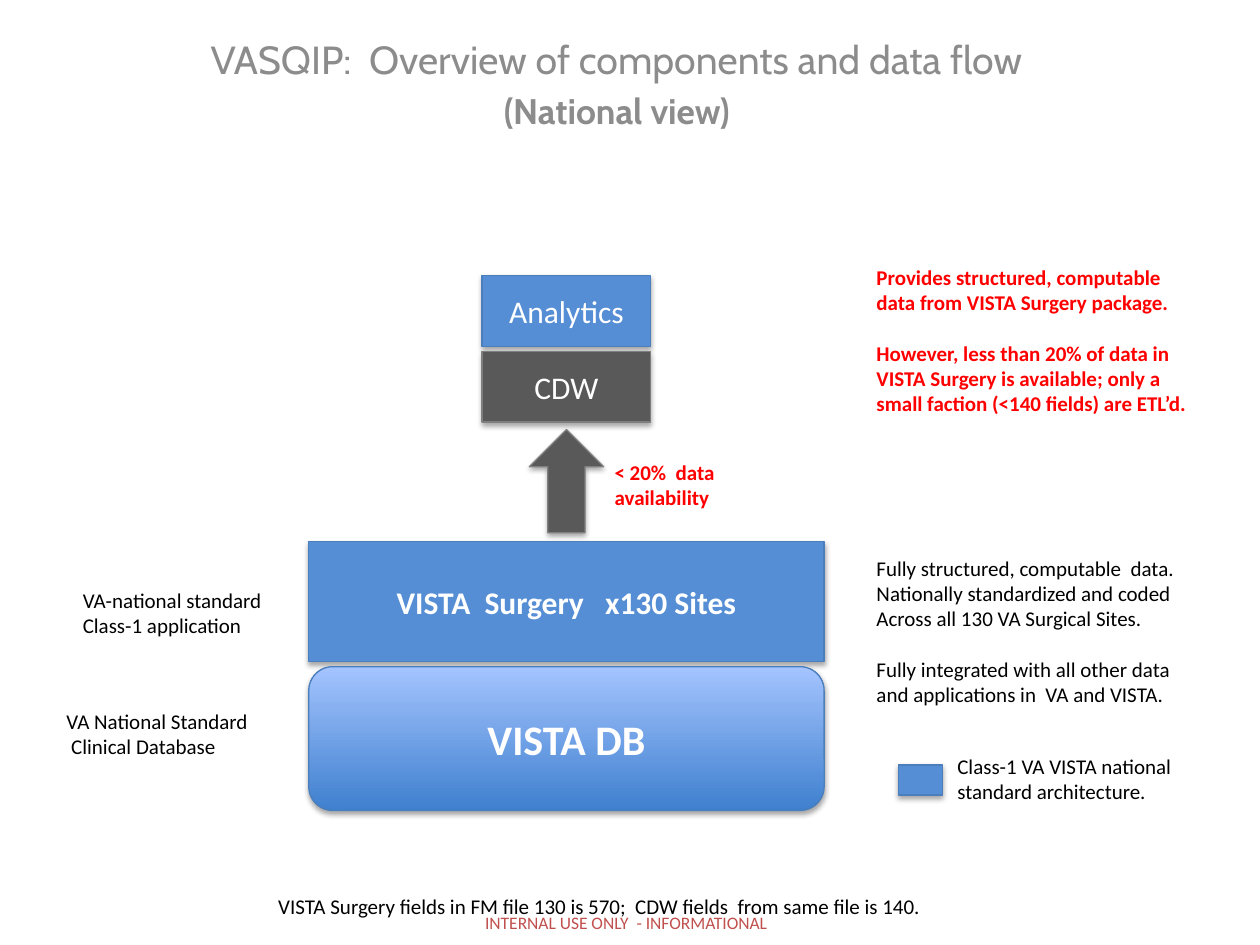
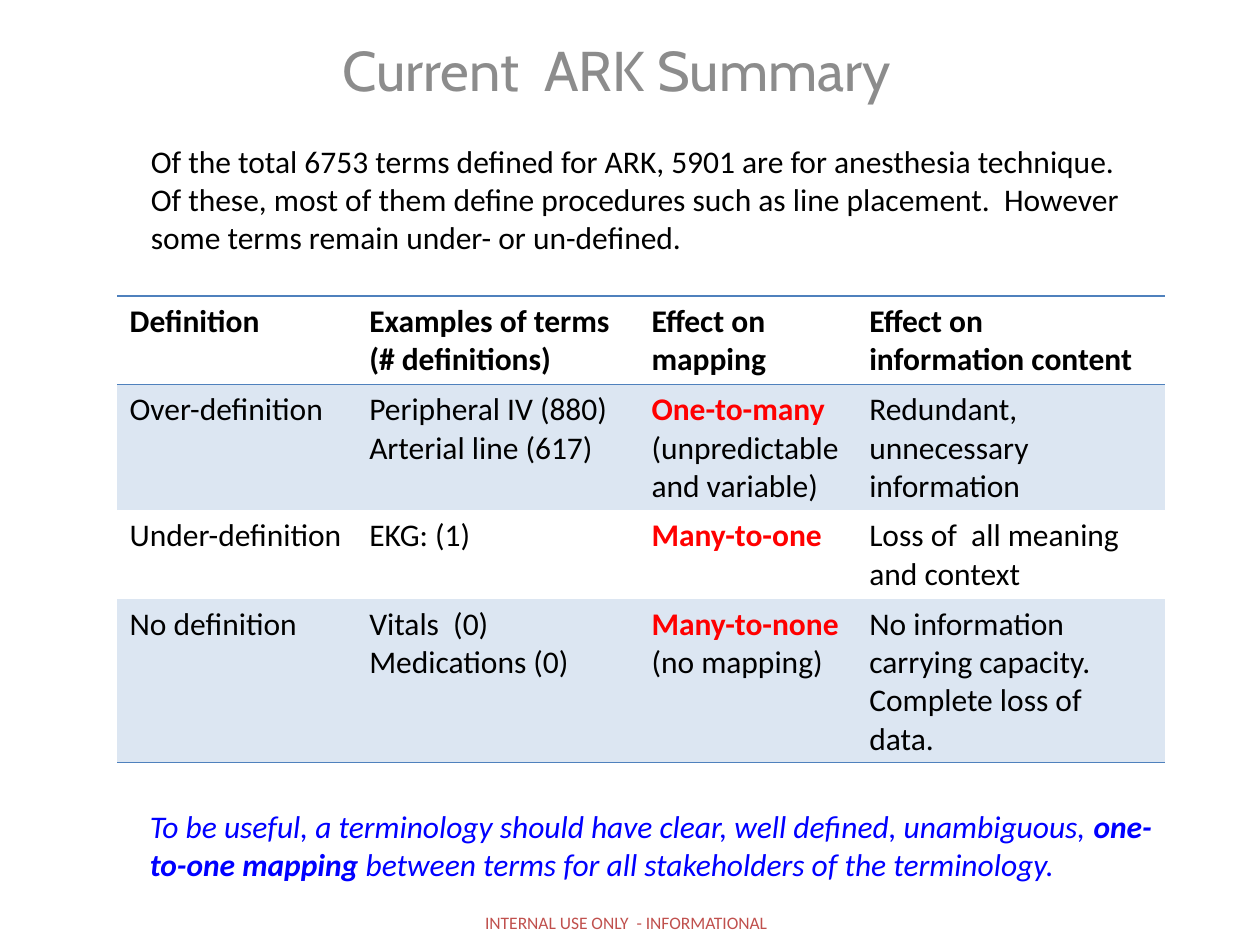
"""Build two slides on surgical data flow and anesthesia terminology."""
from dataclasses import dataclass, replace

import lxml.etree
import pptx
import pptx.dml.color
import pptx.enum.shapes
import pptx.enum.text
import pptx.oxml.ns
import pptx.util

Cm, Pt = pptx.util.Cm, pptx.util.Pt
RGB = pptx.dml.color.RGBColor.from_string
qn = pptx.oxml.ns.qn
SHAPE = pptx.enum.shapes.MSO_SHAPE
ALIGN, ANCHOR = pptx.enum.text.PP_ALIGN, pptx.enum.text.MSO_ANCHOR


@dataclass(frozen=True)
class Style:
    """Hold the look of a run of text."""
    size: float
    color: str = "000000"
    bold: bool = False
    italic: bool = False
    font: str = "Calibri"


class Theme:
    """Keep the colours and type styles of the deck."""
    blue, blue_edge = "558ED5", "4B7EBC"
    gray, gray_edge = "595959", "7F7F7F"
    grad_low, grad_high = "3F80CE", "A4C4FF"
    rule, band = "4F81BD", "DCE6F2"
    title = Style(32, "8C8C8C", font="Cabin")
    title_small = replace(title, size=22.4)
    subtitle = replace(title, size=20.3, bold=True)
    footer = Style(10, "C0504D")
    note = Style(12)
    alert = Style(12, "FF0000", bold=True)
    label = Style(18, "FFFFFF")
    label_bold = replace(label, bold=True)
    label_big = Style(24, "FFFFFF", bold=True)
    body = Style(18)
    head = Style(18, bold=True)
    effect = Style(18, "FF0000", bold=True)
    closing = Style(18, "0000FF", italic=True)
    closing_bold = replace(closing, bold=True)


FOOTER = "INTERNAL USE ONLY  - INFORMATIONAL"
FOOTER_BOX = (9.53, 18.26, 7.09, 0.69)
TITLE_BOX = (2.21, 0.58, 20.45, 1.93)

FLOW_TITLE = [[("VASQIP:  Overview of components and data flow", Theme.title_small)],
              [("(National view)", Theme.subtitle)]]
ARK_TITLE = [[("Current  ARK Summary", Theme.title)]]

FLOW_CENTER, FLOW_TOP = 11.42, 5.56
FLOW = [
    ("Analytics", SHAPE.RECTANGLE, "blue", Theme.label, 3.4, 1.42, 0.11),
    ("CDW", SHAPE.RECTANGLE, "gray", Theme.label, 3.4, 1.42, 0.15),
    ("", SHAPE.UP_ARROW, "gray", Theme.label, 1.5, 2.08, 0.18),
    ("VISTA  Surgery   x130 Sites", SHAPE.RECTANGLE, "blue", Theme.label_bold, 10.39, 2.41, 0.11),
    ("VISTA DB", SHAPE.ROUNDED_RECTANGLE, "gradient", Theme.label_big, 10.39, 2.9, 0),
]
LEGEND_SWATCH = (18.11, 15.42, 0.89, 0.61)

NOTES = [
    ((1.42, 11.71, 4.42, 1.27), Theme.note, [["VA-national standard  Class-1 application"]]),
    ((1.09, 14.15, 5.41, 1.27), Theme.note, [["VA National Standard", " Clinical Database"]]),
    ((17.42, 5.21, 7.06, 3.33), Theme.alert, [
        ["Provides structured, computable  data from VISTA Surgery package."],
        ["However, less than 20% of data in VISTA Surgery is available; "
         "only a small faction (<140 fields) are ETL’d."]]),
    ((12.14, 9.14, 3.1, 1.27), Theme.alert, [["< 20%  data", "availability"]]),
    ((17.42, 11.07, 7.06, 3.33), Theme.note, [
        ["Fully structured, computable  data.", "Nationally standardized and coded",
         "Across all 130 VA Surgical Sites."],
        ["Fully integrated with all other data and applications in  VA and VISTA."]]),
    ((19.05, 15.06, 5.41, 1.27), Theme.note,
     [["Class-1 VA VISTA national standard architecture."]]),
    ((5.36, 17.88, 13.8, 0.76), Theme.note,
     [["VISTA Surgery fields in FM file 130 is 570;  CDW fields  from same file is 140."]]),
]

INTRO_BOX = (2.79, 2.74, 20.7, 2.57)
INTRO = ["Of the total 6753 terms defined for ARK, 5901 are for anesthesia technique.",
         "Of these, most of them define procedures such as line placement.  "
         "However some terms remain under- or un-defined."]
CLOSING_BOX = (2.77, 16.15, 20.73, 1.8)
CLOSING = [[
    ("To be useful, a terminology should have clear, well defined, unambiguous, ", Theme.closing),
    ("one-to-one mapping ", Theme.closing_bold),
    ("between terms for all stakeholders of the terminology.", Theme.closing)]]

TABLE_AT = (2.36, 5.97)
TABLE_COLS = (4.83, 5.69, 4.39, 6.22)
TABLE_ROWS = (1.78, 2.54, 1.78, 3.3)
EFFECT_COL = 2
TABLE = [
    [["Definition"], ["Examples of terms (# definitions)"], ["Effect on mapping"],
     ["Effect on", "information content"]],
    [["Over-definition"], ["Peripheral IV (880)", "Arterial line (617)"],
     ["One-to-many", "(unpredictable and variable)"], ["Redundant, unnecessary information"]],
    [["Under-definition"], ["EKG: (1)"], ["Many-to-one"], ["Loss of  all meaning and context"]],
    [["No definition"], ["Vitals  (0)", "Medications (0)"], ["Many-to-none", "(no mapping)"],
     ["No information carrying capacity. Complete loss of data."]],
]


def cm(values):
    """Turn numbers into lengths."""
    return [Cm(v) for v in values]


def write(tf, paragraphs, align=ALIGN.LEFT):
    """Write paragraphs, each a list of (text, style) runs."""
    for i, runs in enumerate(paragraphs):
        p = tf.add_paragraph() if i else tf.paragraphs[0]
        p.alignment = align
        p.space_before = Pt(0)
        for text, style in runs:
            r = p.add_run()
            r.text = text
            r.font.name, r.font.size = style.font, Pt(style.size)
            r.font.bold, r.font.italic = style.bold, style.italic
            r.font.color.rgb = RGB(style.color)


def add_text(s, box, paragraphs):
    """Add a wrapping text box."""
    tf = s.shapes.add_textbox(*cm(box)).text_frame
    tf.word_wrap = True
    write(tf, paragraphs)
    return tf


def add_note(s, box, style, groups):
    """Add a note whose groups of lines stand one line apart."""
    tf = add_text(s, box, [[(line, style)] for group in groups for line in group])
    start = 0
    for group in groups[:-1]:
        start += len(group)
        tf.paragraphs[start].space_before = Pt(style.size * 1.2)


def add_block(s, kind, box, look):
    """Add a shape with one of the deck's fills and its soft shadow."""
    sp = s.shapes.add_shape(kind, *cm(box))
    if look == "gradient":
        sp.fill.gradient()
        sp.fill.gradient_angle = 90
        for stop, color in zip(sp.fill.gradient_stops, (Theme.grad_low, Theme.grad_high)):
            stop.color.rgb = RGB(color)
    else:
        sp.fill.solid()
        sp.fill.fore_color.rgb = RGB(Theme.gray if look == "gray" else Theme.blue)
    sp.line.color.rgb = RGB(Theme.gray_edge if look == "gray" else Theme.blue_edge)
    sp.line.width = Pt(0.75)
    sp.shadow.inherit = False
    effects = sp._element.spPr.find(qn("a:effectLst"))
    shadow = lxml.etree.SubElement(effects, qn("a:outerShdw"), blurRad=str(Pt(3.1)),
                                   dist=str(Pt(1.8)), dir="5400000", rotWithShape="0")
    color = lxml.etree.SubElement(shadow, qn("a:srgbClr"), val="000000")
    lxml.etree.SubElement(color, qn("a:alpha"), val="35000")
    return sp


def add_slide(prs, title):
    """Add a slide with the shared title and footer."""
    s = prs.slides.add_slide(prs.slide_layouts[5])
    sp = s.shapes.title
    sp.left, sp.top, sp.width, sp.height = cm(TITLE_BOX)
    tf = sp.text_frame
    tf.auto_size = pptx.enum.text.MSO_AUTO_SIZE.NONE
    tf.vertical_anchor = ANCHOR.TOP
    write(tf, title, ALIGN.CENTER)
    for p in tf.paragraphs[1:]:
        p.space_before = Pt(4)
    add_text(s, FOOTER_BOX, [[(FOOTER, Theme.footer)]])
    return s


def add_rule(cell, side):
    """Draw a thin rule on one side of a cell, ahead of its fill."""
    tcPr = cell._tc.get_or_add_tcPr()
    ln = lxml.etree.Element(qn("a:" + side), w=str(Pt(1)))
    fill = lxml.etree.SubElement(ln, qn("a:solidFill"))
    lxml.etree.SubElement(fill, qn("a:srgbClr"), val=Theme.rule)
    tcPr.insert(len(tcPr.findall(qn("a:lnT"))), ln)


def add_definitions(s):
    """Add the table of definition problems."""
    size = (sum(TABLE_COLS), sum(TABLE_ROWS))
    frame = s.shapes.add_table(len(TABLE_ROWS), len(TABLE_COLS), *cm(TABLE_AT + size))
    table = frame.table
    table._tbl.tblPr.find(qn("a:tableStyleId")).text = "{2D5ABB26-0587-4C30-8999-92F81FD0307C}"
    for column, width in zip(table.columns, TABLE_COLS):
        column.width = Cm(width)
    for row, height in zip(table.rows, TABLE_ROWS):
        row.height = Cm(height)
    for i, row in enumerate(TABLE):
        for j, lines in enumerate(row):
            cell = table.cell(i, j)
            styles = [Theme.head if i == 0 else Theme.body] * len(lines)
            if i and j == EFFECT_COL:
                styles[0] = Theme.effect
            write(cell.text_frame, [[pair] for pair in zip(lines, styles)])
            if i % 2:
                cell.fill.solid()
                cell.fill.fore_color.rgb = RGB(Theme.band)
            else:
                cell.fill.background()
            if i == 0:
                add_rule(cell, "lnT")
            if i in (0, len(TABLE) - 1):
                add_rule(cell, "lnB")


def build_flow(prs):
    """Build the data flow slide."""
    s = add_slide(prs, FLOW_TITLE)
    top = FLOW_TOP
    for text, kind, look, style, width, height, gap in FLOW:
        sp = add_block(s, kind, (FLOW_CENTER - width / 2, top, width, height), look)
        if text:
            sp.text_frame.vertical_anchor = ANCHOR.MIDDLE
            write(sp.text_frame, [[(text, style)]], ALIGN.CENTER)
        top += height + gap
    add_block(s, SHAPE.RECTANGLE, LEGEND_SWATCH, "blue")
    for box, style, groups in NOTES:
        add_note(s, box, style, groups)


def build_summary(prs):
    """Build the terminology summary slide."""
    s = add_slide(prs, ARK_TITLE)
    add_note(s, INTRO_BOX, Theme.body, [INTRO])
    add_definitions(s)
    add_text(s, CLOSING_BOX, CLOSING)


def main():
    """Build and save the deck."""
    prs = pptx.Presentation()
    prs.slide_width, prs.slide_height = Cm(25.4), Cm(19.05)
    build_flow(prs)
    build_summary(prs)
    prs.save("out.pptx")


if __name__ == "__main__":
    main()
